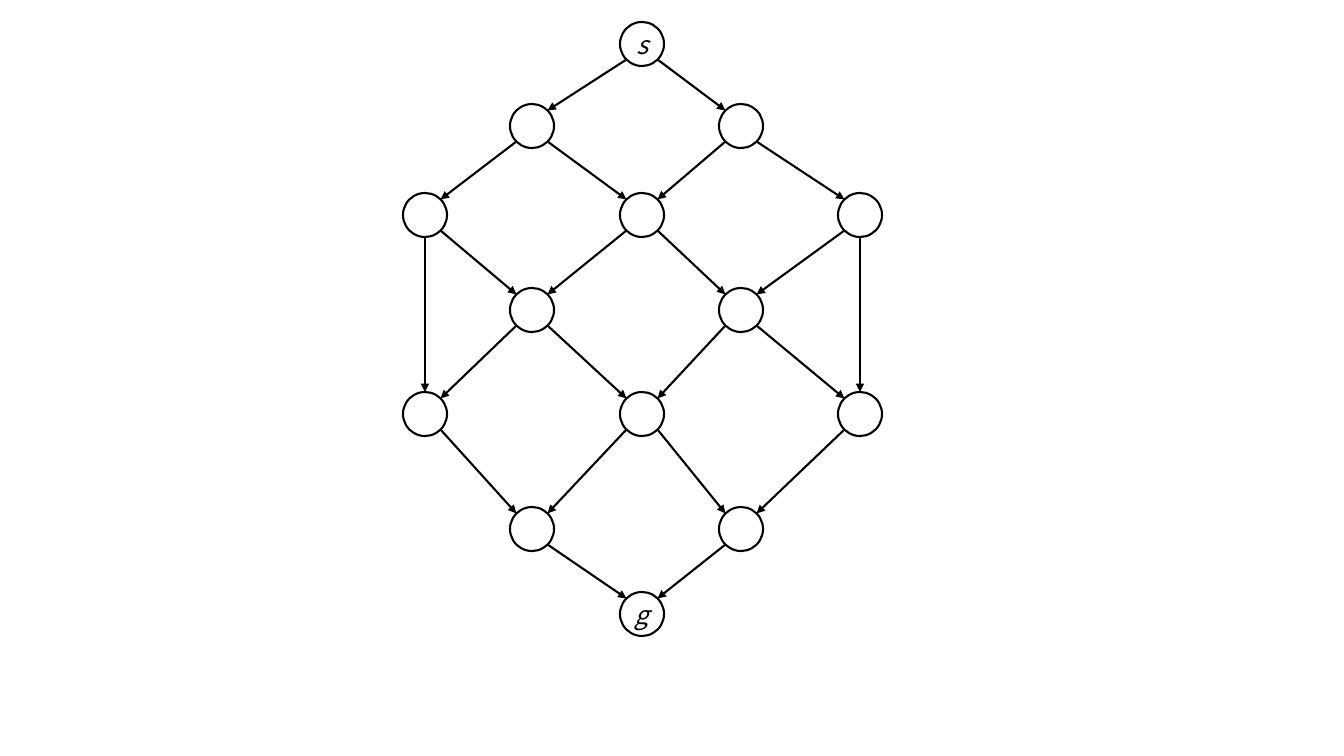
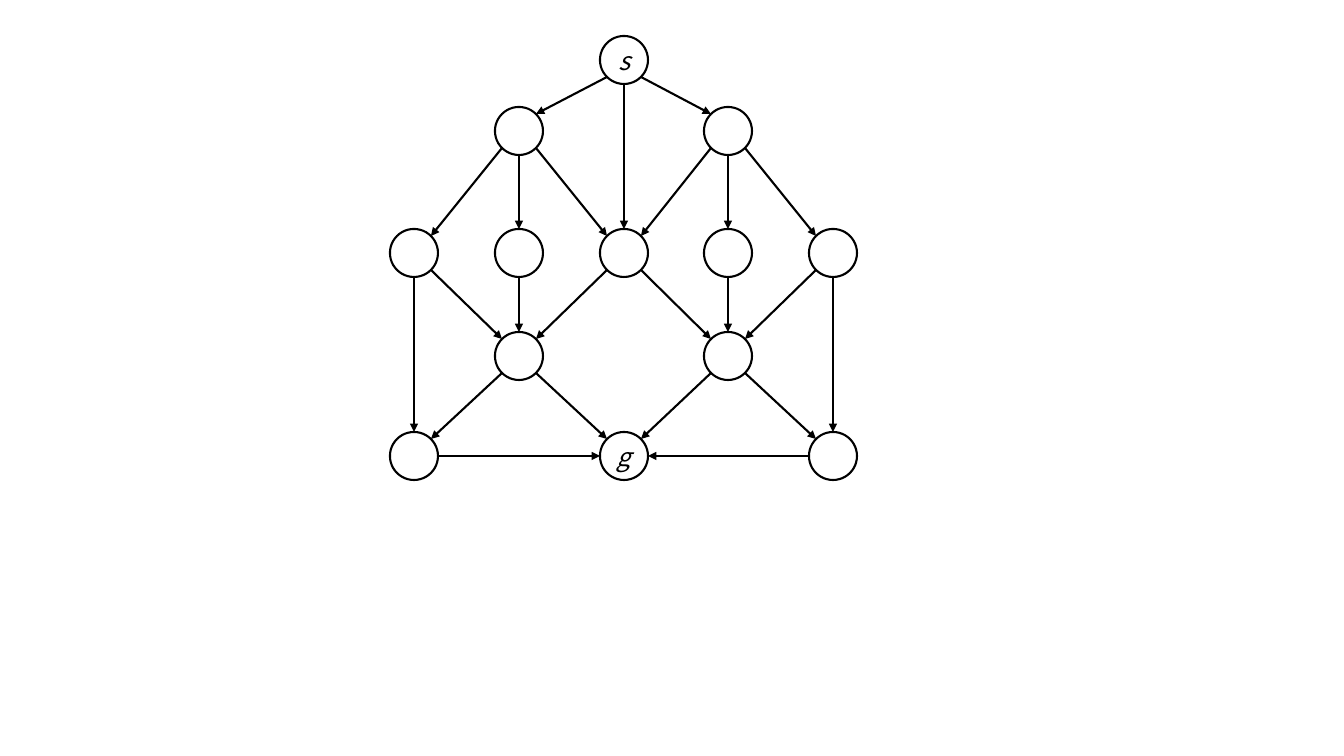
from dataclasses import dataclass
from math import sqrt

from lxml.etree import SubElement
from pptx import Presentation
from pptx.dml.color import RGBColor
from pptx.enum.shapes import MSO_CONNECTOR as Connector, MSO_SHAPE as Shape
from pptx.enum.text import MSO_ANCHOR as Anchor, PP_ALIGN as Align
from pptx.oxml.ns import qn
from pptx.util import Emu, Pt


@dataclass(frozen=True)
class Theme:
    ink: RGBColor = RGBColor(0, 0, 0)
    font: str = "Noto Sans CJK JP"
    label_size: Pt = Pt(18)
    line_width: Pt = Pt(1.5)


THEME = Theme()
EMU_PER_PIXEL = 914400 / 100.8

# Connection sites of an ellipse, by the direction they face.
SITES = {(0, -1): 0, (-1, -1): 1, (-1, 0): 2, (-1, 1): 3,
         (0, 1): 4, (1, 1): 5, (1, 0): 6, (1, -1): 7}

# A node is named by its column letter and row number; arrows lead to the listed nodes.
GRAPHS = [
    dict(diameter=44, goal="C7",
         columns=dict(zip("ABCDE", (425, 532, 642, 741, 860))),
         rows=dict(zip("1234567", (44, 126, 215, 310, 414, 529, 614))),
         arrows={"C1": "B2 D2", "B2": "A3 C3", "D2": "C3 E3",
                 "A3": "B4 A5", "C3": "B4 D4", "E3": "D4 E5",
                 "B4": "A5 C5", "D4": "C5 E5",
                 "A5": "B6", "C5": "B6 D6", "E5": "D6",
                 "B6": "C7", "D6": "C7"}),
    dict(diameter=48, goal="C5",
         columns=dict(zip("ABCDE", (414, 519, 624, 728, 833))),
         rows=dict(zip("12345", (60, 131, 253, 356, 456))),
         arrows={"C1": "B2 C3 D2", "B2": "A3 B3 C3", "D2": "C3 D3 E3",
                 "A3": "B4 A5", "B3": "B4", "C3": "B4 D4",
                 "D3": "D4", "E3": "D4 E5",
                 "B4": "A5 C5", "D4": "C5 E5",
                 "A5": "C5", "E5": "C5"}),
]


def add_node(group, center, diameter, label):
    """Draw a circle around a center, with an optional italic label."""
    left, top = (px(value - diameter / 2) for value in center)
    node = group.shapes.add_shape(Shape.OVAL, left, top, px(diameter), px(diameter))
    node.shadow.inherit = False
    node.fill.background()
    node.line.color.rgb = THEME.ink
    node.line.width = THEME.line_width
    if label:
        frame = node.text_frame
        frame.margin_left = frame.margin_right = 0
        frame.margin_top = frame.margin_bottom = 0
        frame.word_wrap = False
        frame.vertical_anchor = Anchor.MIDDLE
        frame.text = label
        para = frame.paragraphs[0]
        para.alignment = Align.CENTER
        font = para.runs[0].font
        font.name, font.size, font.italic = THEME.font, THEME.label_size, True
        font.color.rgb = THEME.ink
    return node


def px(value):
    """Turn pixels into EMU."""
    return Emu(round(value * EMU_PER_PIXEL))


deck = Presentation()
deck.slide_width, deck.slide_height = px(1344), px(756)
blank = deck.slide_layouts[6]

for graph in GRAPHS:
    page = deck.slides.add_slide(blank)
    group = page.shapes.add_group_shape()
    radius = graph["diameter"] / 2
    labels = {"C1": "s", graph["goal"]: "g"}
    centers, nodes = {}, {}
    for name in [*graph["arrows"], graph["goal"]]:
        centers[name] = graph["columns"][name[0]], graph["rows"][name[1]]
        nodes[name] = add_node(group, centers[name], graph["diameter"], labels.get(name))

    for source, targets in graph["arrows"].items():
        for target in targets.split():
            # Each arrow leaves and arrives at the nearest of the eight sites.
            start, end = centers[source], centers[target]
            facing = tuple((b > a) - (b < a) for a, b in zip(start, end))
            reach = radius / sqrt(2) if all(facing) else radius
            begin_x, begin_y = (a + step * reach for a, step in zip(start, facing))
            end_x, end_y = (b - step * reach for b, step in zip(end, facing))
            arrow = group.shapes.add_connector(
                Connector.STRAIGHT, px(begin_x), px(begin_y), px(end_x), px(end_y))
            arrow.line.color.rgb = THEME.ink
            arrow.line.width = THEME.line_width
            properties = arrow.element.spPr
            SubElement(properties.find(qn("a:ln")), qn("a:tailEnd"), type="triangle")
            SubElement(properties, qn("a:effectLst"))
            links = arrow.element.find(".//" + qn("p:cNvCxnSpPr"))
            opposite = tuple(-step for step in facing)
            for tag, name, side in (("a:stCxn", source, facing),
                                    ("a:endCxn", target, opposite)):
                SubElement(links, qn(tag), id=str(nodes[name].shape_id),
                           idx=str(SITES[side]))

deck.save("out.pptx")
